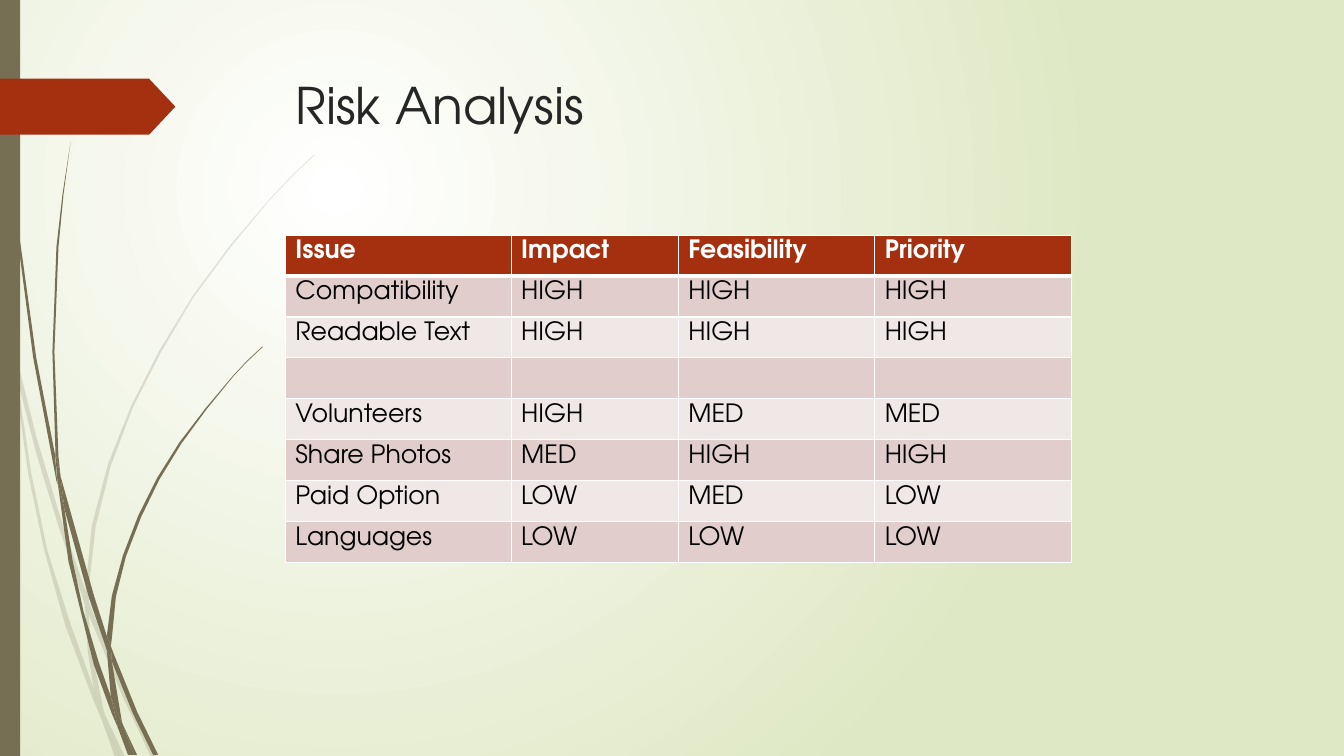
import pptx
import pptx.dml.color
import pptx.enum.shapes
import pptx.enum.text
import pptx.oxml
import pptx.oxml.ns
import pptx.util
import lxml.etree

Pt = pptx.util.Pt
qn = pptx.oxml.ns.qn

FONT = "TeX Gyre Adventor"
COLORS = {
    "white": "FFFFFF", "green": "DFE8C4", "olive": "766F54", "rust": "A53010",
    "title": "262626", "text": "000000", "dark band": "E1CDCC", "light band": "F0E8E7",
}

# Outlines of the grass pieces, on a grid of 0.72 points
GRASS_UNIT = Pt(0.72)
PALE_GRASS = [
    [(11, 350), (9, 322), (0, 282), (0, 299), (10, 344)],
    [(58, 522), (84, 599), (85, 586), (62, 520), (36, 433), (14, 345), (17, 376), (36, 450)],
    [(92, 607), (88, 596), (88, 610), (123, 694), (150, 751), (155, 751), (127, 692)],
    [(119, 751), (124, 751), (105, 711)],
    [(93, 683), (70, 619), (47, 546), (31, 469), (17, 376), (11, 350), (28, 470),
     (44, 546), (65, 621), (92, 693), (101, 714), (99, 707)],
    [(84, 599), (87, 646), (93, 683), (96, 692), (105, 711), (103, 706), (91, 646),
     (88, 610), (88, 608)],
    [(88, 584), (95, 522), (110, 462), (132, 404), (160, 349), (192, 295), (229, 245),
     (268, 198), (290, 175), (312, 154), (312, 153), (289, 175), (268, 197), (228, 244),
     (191, 294), (158, 348), (130, 403), (107, 461), (91, 522), (85, 584), (85, 586),
     (88, 596)],
    [(101, 714), (114, 751), (119, 751)],
    [(88, 608), (88, 610), (88, 596), (85, 586), (84, 599)],
    [(96, 692), (93, 683), (99, 707), (101, 714), (119, 751), (105, 711)],
]
DARK_GRASS = [
    [(7, 110), (17, 233), (33, 355), (56, 477), (57, 481), (55, 457), (55, 453),
     (36, 355), (19, 232), (8, 109), (5, 48), (4, 0), (3, 0), (4, 48)],
    [(88, 592), (106, 645), (106, 633), (106, 631), (93, 590), (60, 472), (64, 505)],
    [(113, 649), (110, 641), (111, 656), (132, 708), (152, 749), (157, 749), (136, 706)],
    [(110, 691), (98, 657), (83, 607), (72, 556), (64, 505), (57, 477), (68, 557),
     (93, 659), (111, 708), (117, 722), (116, 717)],
    [(60, 472), (58, 453), (54, 349), (58, 245), (63, 193), (70, 141), (62, 193),
     (56, 245), (52, 349), (55, 449)],
    [(133, 749), (136, 749), (122, 719)],
    [(57, 477), (64, 505), (60, 472), (55, 449), (55, 453)],
    [(111, 633), (115, 592), (125, 552), (140, 513), (158, 476), (180, 440), (205, 406),
     (231, 374), (245, 359), (261, 344), (260, 344), (245, 358), (231, 373), (204, 405),
     (178, 439), (156, 474), (137, 512), (122, 551), (111, 591), (106, 631), (110, 641)],
    [(117, 722), (127, 749), (131, 749)],
    [(106, 645), (110, 691), (116, 706), (122, 719), (121, 716), (111, 656), (109, 651)],
    [(106, 645), (109, 651), (111, 656), (110, 641), (106, 631), (106, 633)],
    [(116, 706), (110, 691), (116, 717), (117, 722), (130, 749), (133, 749), (122, 719)],
]

COLUMN_WIDTHS = [161.3, 119.4, 140.3, 140.4]
ROW_HEIGHT = 29.2
RISKS = [
    ("Issue", "Impact", "Feasibility", "Priority"),
    ("Compatibility", "HIGH", "HIGH", "HIGH"),
    ("Readable Text", "HIGH", "HIGH", "HIGH"),
    ("", "", "", ""),
    ("Volunteers", "HIGH", "MED", "MED"),
    ("Share Photos", "MED", "HIGH", "HIGH"),
    ("Paid Option", "LOW", "MED", "LOW"),
    ("Languages", "LOW", "LOW", "LOW"),
]


def rgb(name):
    return pptx.dml.color.RGBColor.from_string(COLORS[name])


def paint(shape, color, opacity=100):
    shape.shadow.inherit = False
    shape.fill.solid()
    shape.fill.fore_color.rgb = rgb(color)
    shape.line.fill.background()
    if opacity < 100:
        color_element = shape._element.spPr.find(".//" + qn("a:srgbClr"))
        alpha = lxml.etree.SubElement(color_element, qn("a:alpha"))
        alpha.set("val", str(opacity * 1000))


def format_text(paragraph, size, color, bold=False):
    paragraph.font.name = FONT
    paragraph.font.size = Pt(size)
    paragraph.font.bold = bold
    paragraph.font.color.rgb = rgb(color)


def set_background(slide):
    fill = slide.background.fill
    fill.gradient()
    for stop, color in zip(fill.gradient_stops, ("white", "green")):
        stop.color.rgb = rgb(color)
    # Circular gradient centred a quarter of the way in
    gradient = slide._element.find(".//" + qn("a:gradFill"))
    linear = gradient.find(qn("a:lin"))
    circle = pptx.oxml.parse_xml(
        f'<a:path {pptx.oxml.ns.nsdecls("a")} path="circle">'
        '<a:fillToRect l="50000" t="50000" r="100000" b="100000"/></a:path>')
    gradient.replace(linear, circle)


def add_grass(slide, pieces, opacity):
    for outline in pieces:
        builder = slide.shapes.build_freeform(*outline[0], scale=GRASS_UNIT)
        builder.add_line_segments(outline[1:], close=True)
        paint(builder.convert_to_shape(), "olive", opacity)


def add_block(slide, kind, left, top, width, height, color):
    shape = slide.shapes.add_shape(kind, Pt(left), Pt(top), Pt(width), Pt(height))
    paint(shape, color)
    return shape


def set_title(slide, text):
    title = slide.shapes.title
    title.left, title.top, title.width, title.height = Pt(204), Pt(49), Pt(702), Pt(101)
    title.text_frame.text = text
    title.text_frame.vertical_anchor = pptx.enum.text.MSO_ANCHOR.TOP
    paragraph = title.text_frame.paragraphs[0]
    paragraph.alignment = pptx.enum.text.PP_ALIGN.LEFT
    format_text(paragraph, 36, "title")


def set_borders(cell, top, bottom):
    properties = cell._tc.get_or_add_tcPr()
    widths = {"lnL": 1, "lnR": 1, "lnT": top, "lnB": bottom}
    for position, (side, width) in enumerate(widths.items()):
        properties.insert(position, pptx.oxml.parse_xml(
            f'<a:{side} {pptx.oxml.ns.nsdecls("a")} w="{Pt(width)}"><a:solidFill>'
            f'<a:srgbClr val="{COLORS["white"]}"/></a:solidFill></a:{side}>'))


def add_risk_table(slide):
    table = slide.shapes.add_table(
        len(RISKS), len(COLUMN_WIDTHS), Pt(203.8), Pt(168),
        Pt(sum(COLUMN_WIDTHS)), Pt(ROW_HEIGHT * len(RISKS))).table
    for column, width in zip(table.columns, COLUMN_WIDTHS):
        column.width = Pt(width)
    for row_index, values in enumerate(RISKS):
        table.rows[row_index].height = Pt(ROW_HEIGHT)
        header = row_index == 0
        band = "rust" if header else "dark band" if row_index % 2 else "light band"
        for column_index, value in enumerate(values):
            cell = table.cell(row_index, column_index)
            cell.text = value
            cell.fill.solid()
            cell.fill.fore_color.rgb = rgb(band)
            set_borders(cell, 3 if row_index == 1 else 1, 3 if header else 1)
            format_text(cell.text_frame.paragraphs[0], 18,
                        "white" if header else "text", header)


def main():
    presentation = pptx.Presentation()
    presentation.slide_width, presentation.slide_height = Pt(960), Pt(540)
    slide = presentation.slides.add_slide(presentation.slide_layouts[5])
    set_background(slide)

    # Grass, side bar and pointer
    add_grass(slide, PALE_GRASS, 20)
    add_grass(slide, DARK_GRASS, 100)
    kinds = pptx.enum.shapes.MSO_SHAPE
    add_block(slide, kinds.RECTANGLE, 0, 0, 14.4, 540, "olive")
    pointer = add_block(slide, kinds.PENTAGON, 0, 56.2, 125.3, 40, "rust")
    pointer.adjustments[0] = 0.47

    # Content
    set_title(slide, "Risk Analysis")
    add_risk_table(slide)
    presentation.save("out.pptx")


main()
